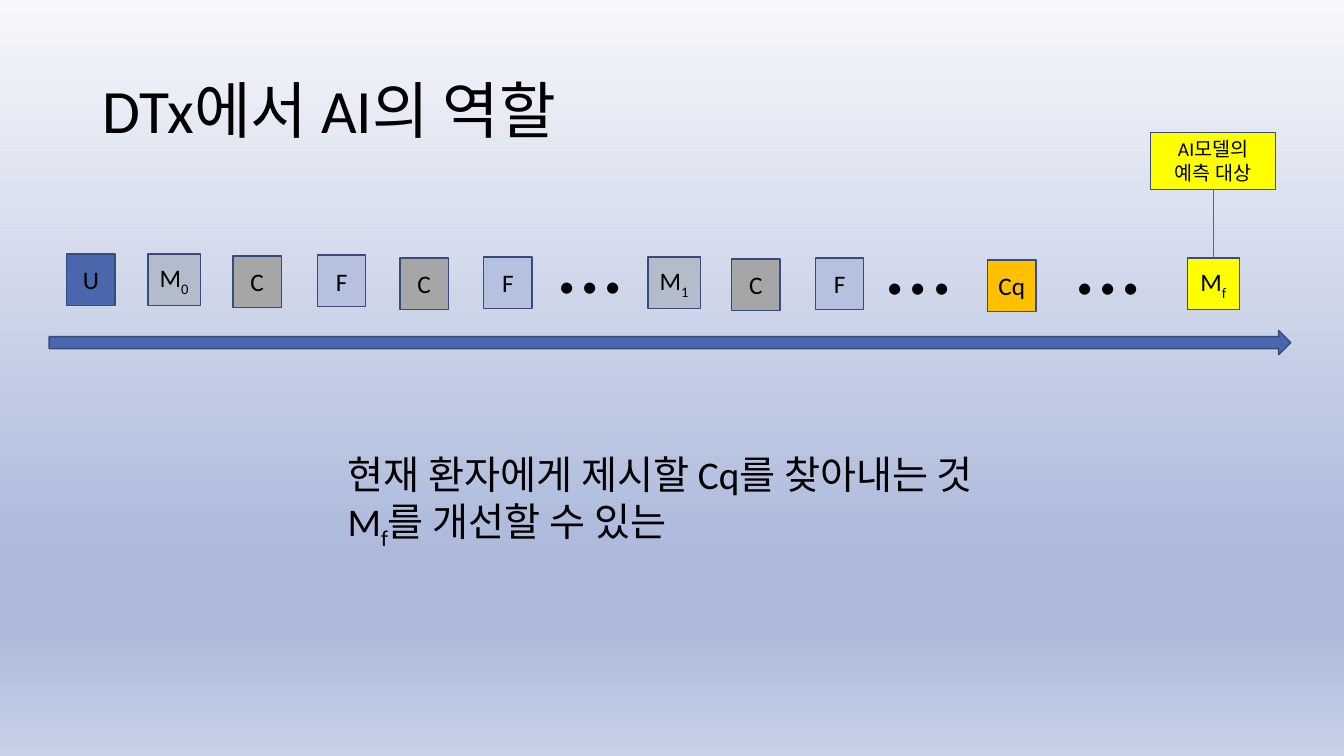
from pptx import Presentation
from pptx.dml.color import RGBColor
from pptx.enum.shapes import MSO_CONNECTOR, MSO_SHAPE
from pptx.enum.text import MSO_ANCHOR, MSO_AUTO_SIZE, PP_ALIGN
from pptx.oxml import parse_xml
from pptx.oxml.ns import nsdecls, qn
from pptx.util import Cm, Pt
from lxml.etree import SubElement

COLORS = {
    "U": "4A66AC", "M": "B2BCCB", "C": "A6A6A6", "F": "B5C1DF",
    "Cq": "FFC000", "target": "FFFF00", "edge": "374B7F", "text": "000000",
}
BACKGROUND = [(0, "F6F7FB"), (74, "ACB9DB"), (83, "ACB9DB"), (100, "C8D1E7")]

# label, subscript, colour, left, top
TILES = [
    ("U", "", "U", 1.68, 6.4),
    ("M", "0", "M", 3.73, 6.4),
    ("C", "", "C", 5.87, 6.45),
    ("F", "", "F", 8, 6.43),
    ("C", "", "C", 10.08, 6.5),
    ("F", "", "F", 12.19, 6.48),
    ("M", "1", "M", 16.33, 6.48),
    ("C", "", "C", 18.44, 6.53),
    ("F", "", "F", 20.55, 6.5),
    ("Cq", "", "Cq", 24.89, 6.55),
    ("M", "f", "target", 29.92, 6.5),
]
ELLIPSES = [(13.74, 4.95), (22.02, 4.98), (26.8, 4.98)]


class Deck:
    font = "Calibri"

    def __init__(self, prs):
        self.s = prs.slides.add_slide(prs.slide_layouts[6])

    def color(self, name):
        return RGBColor.from_string(COLORS[name])

    def background(self, stops):
        """Fill the slide with a gradient running from top to bottom."""
        gs = "".join(f'<a:gs pos="{pos * 1000}"><a:srgbClr val="{rgb}"/></a:gs>'
                     for pos, rgb in stops)
        bg = parse_xml(
            f'<p:bg {nsdecls("p", "a")}><p:bgPr><a:gradFill rotWithShape="1">'
            f'<a:gsLst>{gs}</a:gsLst><a:lin ang="5400000" scaled="0"/>'
            '</a:gradFill><a:effectLst/></p:bgPr></p:bg>')
        self.s.element.cSld.insert(0, bg)

    def add_lines(self, tf, lines, size, align=PP_ALIGN.LEFT):
        """Add lines of (text, is_subscript) pairs."""
        for i, line in enumerate(lines):
            p = tf.add_paragraph() if i else tf.paragraphs[0]
            p.alignment = align
            p.font.name = self.font
            p.font.size = Pt(size)
            p.font.color.rgb = self.color("text")
            for text, is_subscript in line:
                r = p.add_run()
                r.text = text
                if is_subscript:
                    r.font._element.set("baseline", "-25000")

    def shape(self, kind, box, fill, line_width=1):
        sp = self.s.shapes.add_shape(kind, *map(Cm, box))
        sp.shadow.inherit = False
        sp.fill.solid()
        sp.fill.fore_color.rgb = self.color(fill)
        sp.line.color.rgb = self.color("edge")
        sp.line.width = Pt(line_width)
        return sp

    def box(self, box, fill, line, size, line_width=1):
        tf = self.shape(MSO_SHAPE.RECTANGLE, box, fill, line_width).text_frame
        tf.word_wrap = True
        self.add_lines(tf, [line], size, PP_ALIGN.CENTER)
        return tf

    def tile(self, label, sub, fill, left, top):
        line = [(label, False)] + ([(sub, True)] if sub else [])
        width = 1.32 if sub else 1.22
        tf = self.box((left, top, width, 1.3), fill, line, 18)
        tf.vertical_anchor = MSO_ANCHOR.MIDDLE

    def text(self, box, lines, size):
        tf = self.s.shapes.add_textbox(*map(Cm, box)).text_frame
        tf.word_wrap = False
        tf.auto_size = MSO_AUTO_SIZE.SHAPE_TO_FIT_TEXT
        self.add_lines(tf, lines, size)
        return tf

    def title(self, box, text):
        tf = self.text(box, [[(text, False)]], 44)
        tf.word_wrap = True
        tf.auto_size = MSO_AUTO_SIZE.NONE
        tf.vertical_anchor = MSO_ANCHOR.MIDDLE
        tf.paragraphs[0].line_spacing = 0.9

    def line(self, x1, y1, x2, y2):
        c = self.s.shapes.add_connector(MSO_CONNECTOR.STRAIGHT,
                                        *map(Cm, (x1, y1, x2, y2)))
        c.line.color.rgb = self.color("U")
        c.line.width = Pt(0.5)
        SubElement(c._element.spPr, qn("a:effectLst"))


def main():
    prs = Presentation()
    prs.slide_width, prs.slide_height = Cm(33.87), Cm(19.05)
    deck = Deck(prs)
    deck.background(BACKGROUND)
    deck.title((2.34, 1.02, 29.21, 3.68), "DTx에서 AI의 역할")

    for tile in TILES:
        deck.tile(*tile)
    for left, top in ELLIPSES:
        deck.text((left, top, 2.29, 3.07), [[("...", False)]], 66)
    deck.shape(MSO_SHAPE.RIGHT_ARROW, (1.24, 8.33, 31.29, 0.61), "U")

    callout = deck.box((29, 3.33, 3.15, 1.45), "target",
                       [("AI모델의 예측 대상", False)], 14, 0.75)
    callout.vertical_anchor = MSO_ANCHOR.TOP
    callout.auto_size = MSO_AUTO_SIZE.SHAPE_TO_FIT_TEXT
    deck.line(30.58, 4.78, 30.58, 6.5)

    deck.text((8.51, 11.23, 17.65, 2.64), [
        [("현재 환자에게 제시할 Cq를 찾아내는 것", False)],
        [("M", False), ("f", True), ("를 개선할 수 있는", False)],
    ], 28)
    prs.save("out.pptx")


if __name__ == "__main__":
    main()
